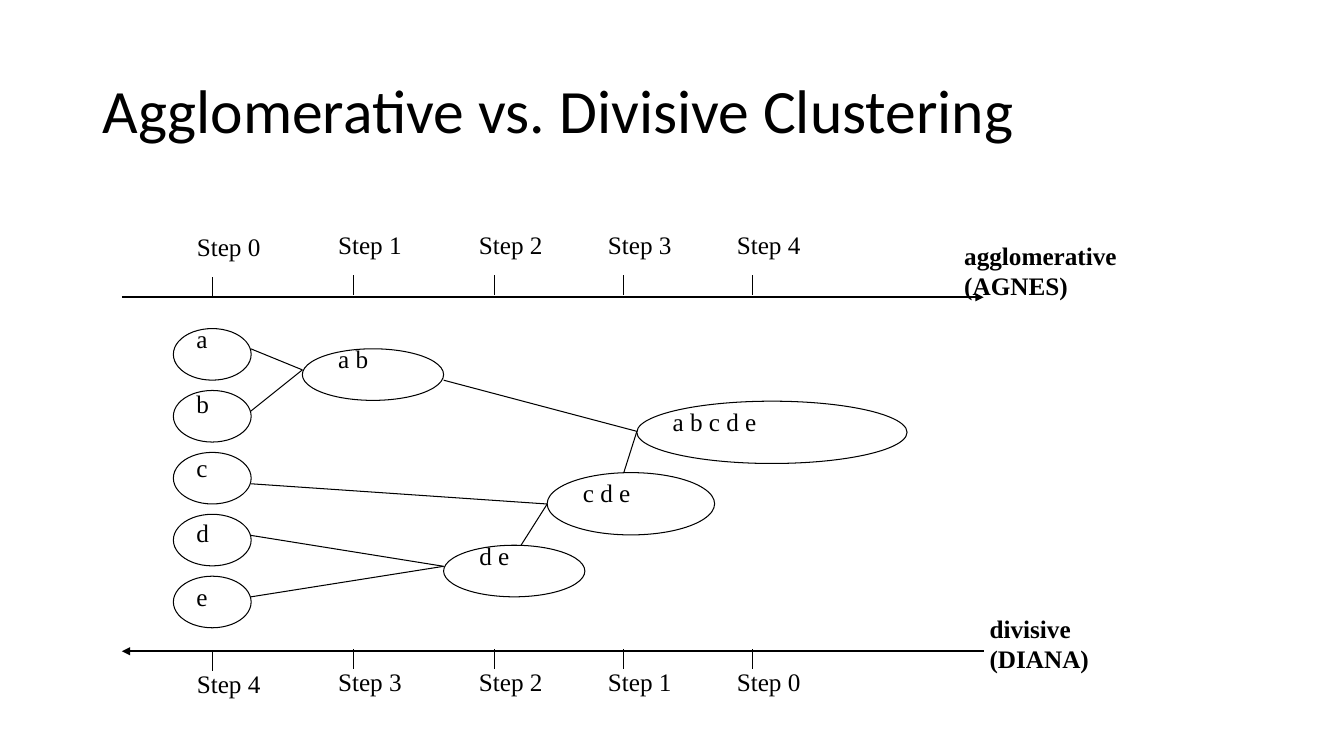
from lxml.etree import SubElement
from pptx import Presentation
from pptx.dml.color import RGBColor
from pptx.enum.shapes import MSO_CONNECTOR, MSO_SHAPE
from pptx.enum.text import MSO_ANCHOR, PP_ALIGN
from pptx.oxml.ns import qn
from pptx.util import Cm, Pt

BLACK = RGBColor(0, 0, 0)
SERIF = "Times New Roman"

# Content; all lengths in centimetres
TITLE = "Agglomerative vs. Divisive Clustering"
STEP_X = [5.36, 8.92, 12.47, 15.72, 18.97]
AXIS_LEFT, AXIS_RIGHT = 3.07, 24.79
# start x, end x, y, tick offset, label offset, step numbers
AXES = [
    (AXIS_LEFT, AXIS_RIGHT, 7.49, -0.56, -1.83, range(5)),
    (AXIS_RIGHT, AXIS_LEFT, 16.41, -0.05, 0.25, range(4, -1, -1)),
]
# lines, left, top, width
METHODS = [
    (["agglomerative", "(AGNES)"], 24.05, 5.92, 6.73),
    (["divisive", "(DIANA)"], 24.69, 15.32, 4.65),
]
ITEMS = "abcde"
# members, left, top, width, height, rise of the label above the ellipse
CLUSTERS = [
    ("a b", 7.62, 8.79, 3.56, 1.3, 0.26),
    ("d e", 11.18, 13.74, 3.56, 1.3, 0.26),
    ("c d e", 13.79, 11.91, 4.22, 1.57, 0),
    ("a b c d e", 16.05, 10.11, 6.81, 1.57, 0),
]
# where branches meet: the points that lead to it
MERGES = {
    (7.62, 9.32): [(6.32, 8.79), (6.32, 10.36)],
    (11.18, 14.27): [(6.32, 13.49), (6.32, 15.04)],
    (13.79, 12.7): [(6.32, 12.19), (13.13, 13.74)],
    (16.05, 10.87): [(11.18, 9.58), (15.72, 11.91)],
}


def add_line(page, start, end, weight=0.75, arrow=False):
    line = page.shapes.add_connector(
        MSO_CONNECTOR.STRAIGHT, *[Cm(value) for value in (*start, *end)])
    line.line.color.rgb = BLACK
    line.line.width = Pt(weight)
    if arrow:
        SubElement(line.line._get_or_add_ln(), qn("a:tailEnd"), type="triangle")
    SubElement(line._element.spPr, qn("a:effectLst"))


def add_label(page, lines, left, top, width, height=1.27, bold=False):
    box = page.shapes.add_textbox(Cm(left), Cm(top), Cm(width), Cm(height))
    frame = box.text_frame
    frame.word_wrap = True
    for index, text in enumerate(lines):
        para = frame.add_paragraph() if index else frame.paragraphs[0]
        span = para.add_run()
        span.text = text
        span.font.name = SERIF
        span.font.size = Pt(18)
        span.font.bold = bold
        span.font.color.rgb = BLACK


def add_ellipse(page, *bounds):
    ellipse = page.shapes.add_shape(
        MSO_SHAPE.OVAL, *[Cm(value) for value in bounds])
    ellipse.shadow.inherit = False
    ellipse.fill.background()
    ellipse.line.color.rgb = BLACK
    ellipse.line.width = Pt(0.75)


def add_title(page):
    title = page.shapes.title
    title.left, title.top = Cm(2.33), Cm(1.01)
    title.width, title.height = Cm(29.21), Cm(3.68)
    title.text_frame.vertical_anchor = MSO_ANCHOR.MIDDLE
    para = title.text_frame.paragraphs[0]
    para.alignment = PP_ALIGN.LEFT
    para.line_spacing = 0.9
    span = para.add_run()
    span.text = TITLE
    span.font.name = "Calibri"
    span.font.size = Pt(44)
    span.font.color.rgb = BLACK


def main():
    deck = Presentation()
    deck.slide_width, deck.slide_height = Cm(33.87), Cm(19.05)
    page = deck.slides.add_slide(deck.slide_layouts[5])
    add_title(page)

    # Step axes; the first step sits slightly lower than the others
    for start, end, y, tick, label, steps in AXES:
        add_line(page, (start, y), (end, y), 1.5, arrow=True)
        for index, (x, step) in enumerate(zip(STEP_X, steps)):
            base = y if index else y + 0.05
            add_line(page, (x, base + tick), (x, base + tick + 0.51))
            add_label(page, [f"Step {step}"], x - 0.65, base + label, 3.25)

    # Single items
    for index, item in enumerate(ITEMS):
        add_label(page, [item], 4.7, 8.03 + 1.625 * index, 1.25)
        add_ellipse(page, 4.37, 8.28 + 1.56 * index, 1.96, 1.3)

    # Merged clusters
    for members, left, top, width, height, rise in CLUSTERS:
        add_label(page, [members], left + 0.65, top - rise, width - 1.3)
        add_ellipse(page, left, top, width, height)

    # Branches
    for meeting, sources in MERGES.items():
        for source in sources:
            add_line(page, source, meeting)

    # Method names
    for lines, left, top, width in METHODS:
        add_label(page, lines, left, top, width, 2.21, bold=True)

    deck.save("out.pptx")


if __name__ == "__main__":
    main()
